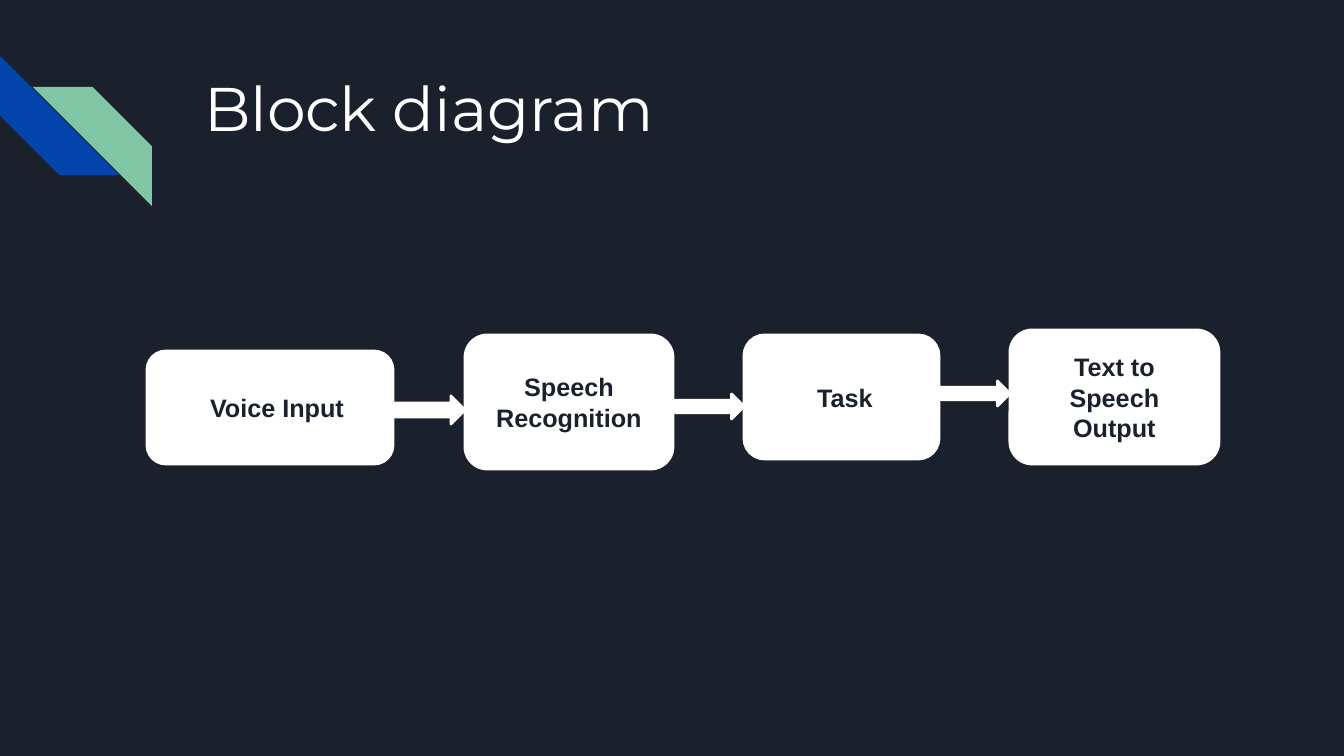
from pptx import Presentation
from pptx.dml.color import RGBColor
from pptx.enum.shapes import MSO_SHAPE
from pptx.enum.text import MSO_ANCHOR, PP_ALIGN
from pptx.util import Pt

EMU_PER_PX = 914400 / 100.8
NAVY = RGBColor(0x1B, 0x21, 0x2C)
BLUE = RGBColor(0x01, 0x45, 0xAC)
GREEN = RGBColor(0x82, 0xC7, 0xA5)
WHITE = RGBColor(0xFF, 0xFF, 0xFF)

# left, top, width, height, paragraphs, text indent
STAGES = [
    (147, 351, 246, 113, ["Voice Input"], 14),
    (465, 335, 208, 134, ["Speech Recognition"], 0),
    (744, 335, 195, 124, ["Task"], 7),
    (1010, 330, 209, 134, ["Text to Speech", "Output"], 0),
]
# top, height of the arrow after each stage but the last
ARROWS = [(396, 28), (394, 25), (381, 25)]


def px(length):
    return round(length * EMU_PER_PX)


def write(shape, paragraphs, *, font, size, color, bold=False, margin=13,
          indent=0, align=PP_ALIGN.LEFT, anchor=MSO_ANCHOR.TOP):
    frame = shape.text_frame
    frame.word_wrap = True
    frame.vertical_anchor = anchor
    frame.margin_left = px(margin + indent)
    frame.margin_right = frame.margin_top = frame.margin_bottom = px(margin)
    frame.text = "\n".join(paragraphs)
    for paragraph in frame.paragraphs:
        paragraph.alignment = align
        paragraph.font.name = font
        paragraph.font.size = Pt(size)
        paragraph.font.bold = bold
        paragraph.font.color.rgb = color


def add_solid(slide, preset, box, fill, outline=None):
    shape = slide.shapes.add_shape(preset, *map(px, box))
    shape.shadow.inherit = False
    shape.fill.solid()
    shape.fill.fore_color.rgb = fill
    if outline is None:
        shape.line.fill.background()
    else:
        shape.line.color.rgb = outline
        shape.line.width = Pt(2)
    return shape


def add_corner_stripes(slide, left, top, size):
    for dx, dy, turn, color in [(0, 0, 270, BLUE), (33, 31, 90, GREEN)]:
        stripe = add_solid(slide, MSO_SHAPE.DIAGONAL_STRIPE,
                           (left + dx, top + dy, size, size), color)
        stripe.rotation = turn


def add_title(slide, left, top, width, height):
    title = slide.shapes.add_textbox(*map(px, (left, top, width, height)))
    write(title, ["Block diagram"], font="Montserrat", size=44, color=WHITE)


def add_block_diagram(slide, left, top):
    """Place the stages, then an arrow in every gap between neighbours."""
    origin_x, origin_y = STAGES[0][0], STAGES[-1][1]
    shift_x, shift_y = left - origin_x, top - origin_y
    for x, y, width, height, label, indent in STAGES:
        stage = add_solid(slide, MSO_SHAPE.ROUNDED_RECTANGLE,
                          (x + shift_x, y + shift_y, width, height), WHITE, WHITE)
        write(stage, label, font="Arial", size=18, color=NAVY, bold=True,
              indent=indent, align=PP_ALIGN.CENTER, anchor=MSO_ANCHOR.MIDDLE)
    for stage, following, (y, height) in zip(STAGES, STAGES[1:], ARROWS):
        start = stage[0] + stage[2]
        add_solid(slide, MSO_SHAPE.RIGHT_ARROW,
                  (start + shift_x, y + shift_y, following[0] - start, height),
                  WHITE, WHITE)


def main():
    deck = Presentation()
    deck.slide_width, deck.slide_height = px(1344), px(756)
    slide = deck.slides.add_slide(deck.slide_layouts[6])
    slide.background.fill.solid()
    slide.background.fill.fore_color.rgb = NAVY
    add_corner_stripes(slide, 0, 56, 119)
    add_title(slide, 191, 57, 1034, 134)
    add_block_diagram(slide, 147, 330)
    deck.save("out.pptx")


if __name__ == "__main__":
    main()
